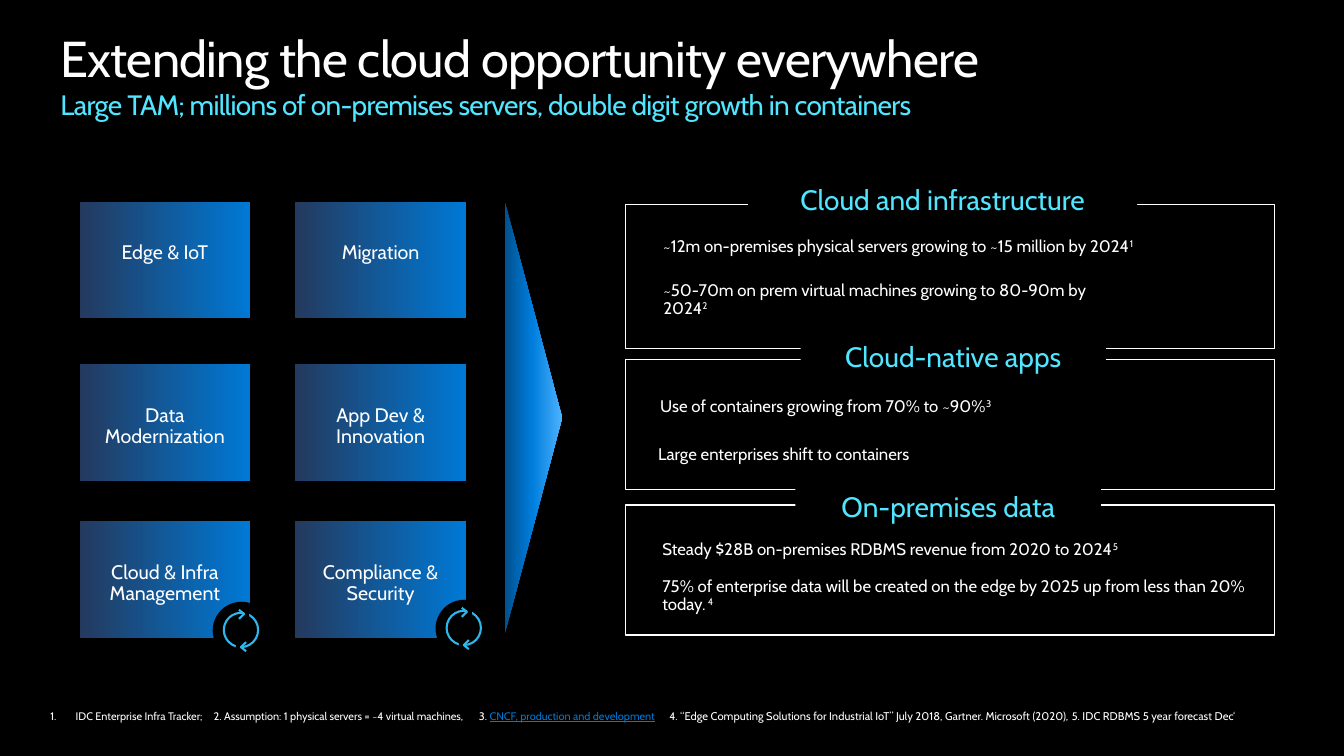
from lxml import etree
from pptx import Presentation
from pptx.dml.color import RGBColor
from pptx.enum.shapes import MSO_SHAPE
from pptx.enum.text import MSO_ANCHOR, MSO_AUTO_SIZE, PP_ALIGN
from pptx.oxml.ns import qn
from pptx.util import Inches, Pt

RECTANGLE, OVAL, TRIANGLE = MSO_SHAPE.RECTANGLE, MSO_SHAPE.OVAL, MSO_SHAPE.ISOSCELES_TRIANGLE
TOP, MIDDLE = MSO_ANCHOR.TOP, MSO_ANCHOR.MIDDLE
LEFT, CENTER = PP_ALIGN.LEFT, PP_ALIGN.CENTER
NO_FIT = MSO_AUTO_SIZE.NONE
FONT = "Cabin"
BLACK, WHITE, CYAN, BLUE, ICON = "000000", "FFFFFF", "50E6FF", "0078D4", "2EB7EC"
CARD_STOPS = [(1, BLUE), (100, "243A5E")]
ARROW_STOPS = [(0, "00508D"), (48, "007DDC"), (100, "4CB2FF")]

TITLE = "Extending the cloud opportunity everywhere"
SUBTITLE = "Large TAM; millions of on-premises servers, double digit growth in containers"
CARD_COLUMNS = [0.79, 2.93]
CARD_ROWS = [
    (2.0, ["Edge & IoT", "Migration"]),
    (3.61, ["Data Modernization", "App Dev & Innovation"]),
    (5.17, ["Cloud & Infra Management", "Compliance & Security"]),
]
# Panel: heading, heading box, frame top and height, notes (box, [(text, footnote mark)])
PANELS = [
    ("Cloud and infrastructure", (7.42, 1.76, 3.86, 0.44), 2.03, 1.43, [
        ((6.48, 2.31, 5.5, 0.28),
         [("~12m on-premises physical servers growing to ~15 million by 2024", "1")]),
        ((6.48, 2.75, 4.65, 0.59),
         [("~50-70m on prem virtual machines growing to 80-90m by 2024", "2")]),
    ]),
    ("Cloud-native apps", (7.94, 3.31, 3.03, 0.44), 3.57, 1.29, [
        ((6.45, 3.9, 4.86, 0.28), [("Use of containers growing from 70% to ~90%", "3")]),
        ((6.43, 4.38, 3.56, 0.28), [("Large enterprises shift to containers", "")]),
    ]),
    ("On-premises data", (7.89, 4.8, 3.03, 0.44), 5.01, 1.29, [
        ((6.47, 5.32, 6.12, 0.89), [
            ("Steady $28B on-premises RDBMS revenue from 2020 to 2024", "5"),
            ("75% of enterprise data will be created on the edge by 2025 up from "
             "less than 20% today.", " 4"),
        ]),
    ]),
]
BADGES = [(4.32, 5.95), (2.11, 5.97)]
# Gap in the ring, then the arrowhead beside it, measured from the badge corner
BADGE_ARROWS = [
    ((0.31, 0.09), [(0.26, 0.08), (0.31, 0.12), (0.26, 0.17)]),
    ((0.23, 0.41), [(0.33, 0.4), (0.28, 0.45), (0.33, 0.49)]),
]
SOURCES = [
    ("IDC Enterprise Infra Tracker;\t2. Assumption: 1 physical servers = ~4 virtual machines,\t3. ",
     7.8, WHITE),
    ("CNCF, production and development", 7.8, BLUE),
    ("\t4.", 7.8, WHITE),
    (" “Edge Computing Solutions for Industrial IoT” July 2018, Gartner. Microsoft (2020), ",
     8, WHITE),
    ("5.", 7.8, WHITE),
    (" IDC RDBMS 5 year forecast Dec‘", 8, WHITE),
]
SOURCE_TABS = [1.62, 4.25, 6.14]


def rgb(value):
    return RGBColor.from_string(value)


def add_span(para, text, size, color):
    span = para.add_run()
    span.text = text
    span.font.name = FONT
    span.font.size = Pt(size)
    span.font.color.rgb = rgb(color)
    return span


def add_gradient(shape, stops, angle):
    """Fill with a linear gradient; the angle runs clockwise in degrees."""
    shape.fill.gradient()
    gradient = shape._element.spPr.find(qn("a:gradFill"))
    for child in list(gradient):
        gradient.remove(child)
    stop_list = etree.SubElement(gradient, qn("a:gsLst"))
    for position, color in stops:
        stop = etree.SubElement(stop_list, qn("a:gs"), pos=str(position * 1000))
        etree.SubElement(stop, qn("a:srgbClr"), val=color)
    etree.SubElement(gradient, qn("a:lin"), ang=str(angle * 60000), scaled="0")


def paint(shape, fill=None, line=None, width=0.75):
    shape.shadow.inherit = False
    if fill:
        shape.fill.solid()
        shape.fill.fore_color.rgb = rgb(fill)
    else:
        shape.fill.background()
    if line:
        shape.line.color.rgb = rgb(line)
        shape.line.width = Pt(width)
    else:
        shape.line.fill.background()


def add_shape(kind, box, **look):
    shape = page.shapes.add_shape(kind, *map(Inches, box))
    paint(shape, **look)
    return shape


def set_frame(frame, insets, anchor=TOP):
    frame.word_wrap = True
    frame.auto_size = NO_FIT
    frame.vertical_anchor = anchor
    frame.margin_left, frame.margin_top, frame.margin_right, frame.margin_bottom = map(Inches, insets)


def add_text_box(box, insets):
    frame = page.shapes.add_textbox(*map(Inches, box)).text_frame
    set_frame(frame, insets)
    return frame


def add_title():
    title = page.shapes.title
    title.left, title.top, title.width, title.height = map(Inches, (0.6, 0.27, 12.05, 0.94))
    set_frame(title.text_frame, (0, 0, 0, 0))
    para = title.text_frame.paragraphs[0]
    para.alignment = LEFT
    heading = add_span(para, TITLE, 36, WHITE)
    para.add_line_break()
    for span in (heading, add_span(para, SUBTITLE, 20, CYAN)):
        span._r.get_or_add_rPr().set("spc", "-50")


def add_card(left, top, label):
    card = add_shape(RECTANGLE, (left, top, 1.69, 1.16))
    add_gradient(card, CARD_STOPS, 180)
    set_frame(card.text_frame, (0.1, 0.41, 0.1, 0.1))
    para = card.text_frame.paragraphs[0]
    para.alignment = CENTER
    para.line_spacing = 0.9
    add_span(para, label, 14, WHITE)


def add_panel(heading, heading_box, top, height, notes):
    add_shape(RECTANGLE, (6.2, top, 6.44, height), line=WHITE)
    plate = add_shape(RECTANGLE, heading_box, fill=BLACK)
    set_frame(plate.text_frame, (0.1, 0.05, 0.1, 0.05), MIDDLE)
    plate.text_frame.paragraphs[0].alignment = CENTER
    add_span(plate.text_frame.paragraphs[0], heading, 20, CYAN)
    for box, lines in notes:
        frame = add_text_box(box, (0.1, 0.05, 0.1, 0.05))
        for index, (text, mark) in enumerate(lines):
            para = frame.add_paragraph() if index else frame.paragraphs[0]
            para.line_spacing = 0.9
            para.space_before = Pt(13 if index else 0)
            add_span(para, text, 12, WHITE)
            if mark:
                add_span(para, mark, 12, WHITE)._r.get_or_add_rPr().set("baseline", "30000")


def add_badge(left, top):
    add_shape(OVAL, (left, top, 0.57, 0.57), fill=BLACK)
    add_shape(OVAL, (left + 0.11, top + 0.11, 0.34, 0.34), fill=BLACK, line=ICON, width=1.5)
    for (gap_x, gap_y), tip in BADGE_ARROWS:
        add_shape(RECTANGLE, (left + gap_x, top + gap_y, 0.05, 0.08), fill=BLACK)
        points = [(Inches(left + x), Inches(top + y)) for x, y in tip]
        builder = page.shapes.build_freeform(*points[0])
        builder.add_line_segments(points[1:], close=False)
        paint(builder.convert_to_shape(), line=ICON, width=1.5)


def add_sources():
    para = add_text_box((0.3, 6.89, 13, 0.44), (0.2, 0.16, 0.2, 0.16)).paragraphs[0]
    para.line_spacing = 0.9
    props = para._p.get_or_add_pPr()
    props.set("marL", str(Inches(0.25)))
    props.set("indent", str(Inches(-0.25)))
    etree.SubElement(props, qn("a:buFont"), typeface=FONT)
    etree.SubElement(props, qn("a:buAutoNum"), type="arabicPeriod")
    tabs = etree.SubElement(props, qn("a:tabLst"))
    for position in SOURCE_TABS:
        etree.SubElement(tabs, qn("a:tab"), pos=str(Inches(position)), algn="l")
    for text, size, color in SOURCES:
        add_span(para, text, size, color).font.underline = color == BLUE


deck = Presentation()
deck.slide_width, deck.slide_height = Inches(13.33), Inches(7.5)
page = deck.slides.add_slide(deck.slide_layouts[5])
page.background.fill.solid()
page.background.fill.fore_color.rgb = rgb(BLACK)

add_title()
for panel in PANELS:
    add_panel(*panel)
for row_top, labels in CARD_ROWS:
    for column_left, card_label in zip(CARD_COLUMNS, labels):
        add_card(column_left, row_top, card_label)
for corner in BADGES:
    add_badge(*corner)
arrow = add_shape(TRIANGLE, (3.14, 3.86, 4.3, 0.57))
add_gradient(arrow, ARROW_STOPS, 270)
arrow.rotation = 90
add_sources()
deck.save("out.pptx")
